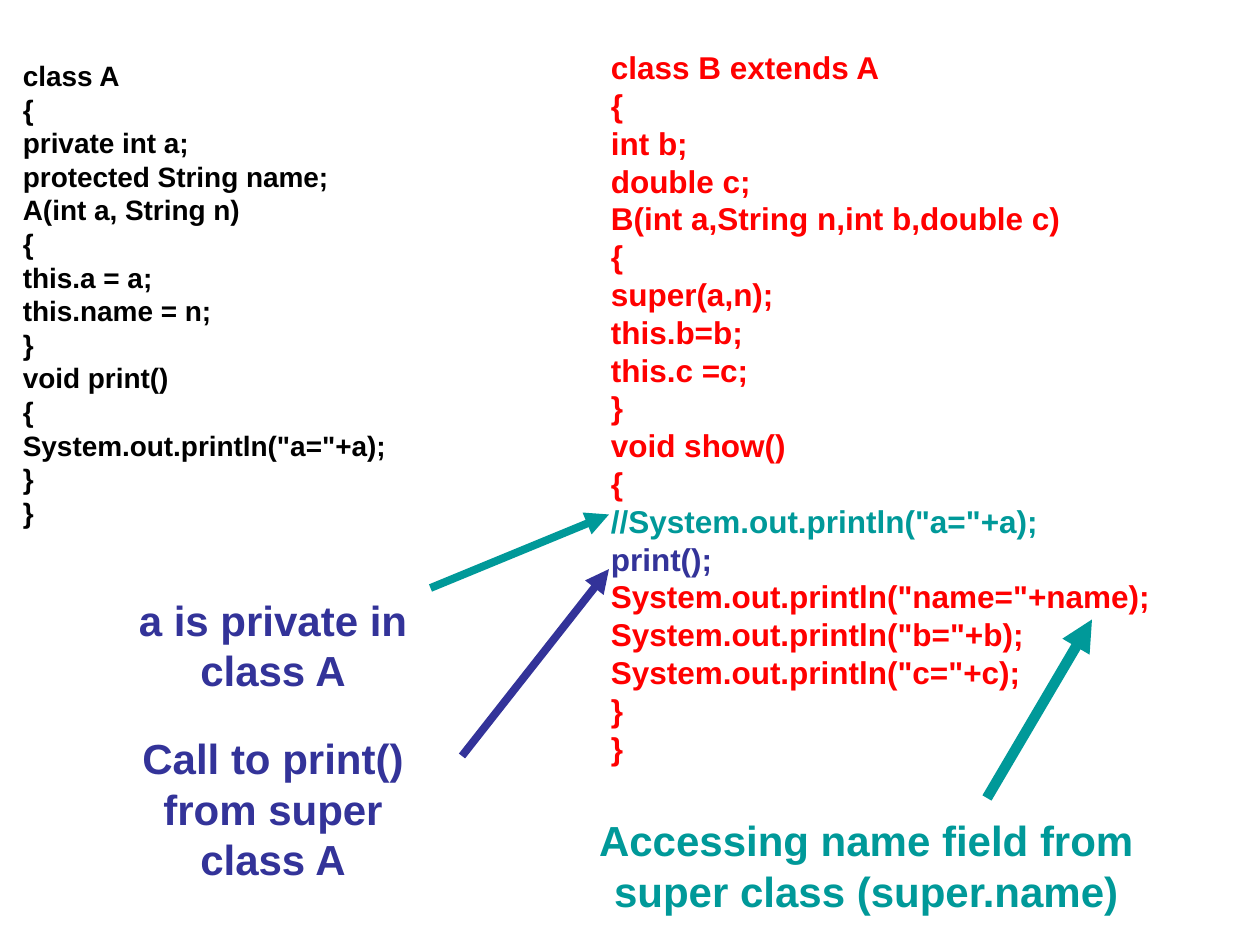
from lxml.etree import SubElement
from pptx import Presentation
from pptx.dml.color import RGBColor
from pptx.enum.shapes import MSO_CONNECTOR
from pptx.enum.text import MSO_AUTO_SIZE, PP_ALIGN
from pptx.oxml.ns import qn
from pptx.util import Inches, Pt

WIDE, HIGH = Inches(10), Inches(7.5)
COLS, ROWS = 120, 90
BLACK, RED, TEAL, BLUE = "000000", "FF0000", "009999", "333399"

BASE = """class A
{
private int a;
protected String name;
A(int a, String n)
{
this.a = a;
this.name = n;
}
void print()
{
System.out.println("a="+a);
}
}"""

CHILD = """class B extends A
{
int b;
double c;
B(int a,String n,int b,double c)
{
super(a,n);
this.b=b;
this.c =c;
}
void show()
{
//System.out.println("a="+a);
print();
System.out.println("name="+name);
System.out.println("b="+b);
System.out.println("c="+c);
}
}"""


def paint(color, tone):
    """Set a colour format to a hex string."""
    color.rgb = RGBColor.from_string(tone)


def spot(col, row):
    """Turn a grid point into slide lengths."""
    return round(WIDE * col / COLS), round(HIGH * row / ROWS)


def write(slide, box, text, size, tone, align=PP_ALIGN.LEFT, gap=0, marks=None):
    """Write bold lines in a box, with other tones for marked lines."""
    frame = slide.shapes.add_textbox(*spot(*box[:2]), *spot(*box[2:])).text_frame
    frame.word_wrap = True
    frame.auto_size = MSO_AUTO_SIZE.SHAPE_TO_FIT_TEXT
    for i, line in enumerate(text.split("\n")):
        para = frame.add_paragraph() if i else frame.paragraphs[0]
        para.alignment = align
        para.space_before = Pt(gap)
        run = para.add_run()
        run.text = line
        run.font.name = "Arial"
        run.font.size = Pt(size)
        run.font.bold = True
        paint(run.font.color, (marks or {}).get(line, tone))


def arrow(slide, start, end, tone, width):
    """Draw an arrow between two grid points."""
    link = slide.shapes.add_connector(MSO_CONNECTOR.STRAIGHT, *spot(*start), *spot(*end))
    paint(link.line.color, tone)
    link.line.width = Pt(width)
    SubElement(link.line._get_or_add_ln(), qn("a:tailEnd"), type="triangle")
    SubElement(link._element.spPr, qn("a:effectLst"))


def note(slide, box, text, tone, start, end, stroke, width=4.5):
    """Place a centred note and the arrow to its line of code."""
    arrow(slide, start, end, stroke, width)
    write(slide, box, text, 24, tone, align=PP_ALIGN.CENTER, gap=15)


def main():
    """Build the slide and save it."""
    deck = Presentation()
    deck.slide_width, deck.slide_height = WIDE, HIGH
    slide = deck.slides.add_slide(deck.slide_layouts[6])
    write(slide, (1, 5, 53, 46), BASE, 16, BLACK)
    marks = {'//System.out.println("a="+a);': TEAL, "print();": BLUE}
    write(slide, (57, 4, 60, 69.6), CHILD, 18, RED, marks=marks)
    note(slide, (9, 56, 34, 10.8), "a is private in class A", BLUE,
         (41, 56), (58, 49), TEAL)
    note(slide, (9, 69.2, 34, 15.6), "Call to print() from super class A", BLUE,
         (44, 72), (58, 54.2), BLUE)
    note(slide, (51, 77, 63, 10.8), "Accessing name field from super class (super.name)",
         TEAL, (94, 76), (104, 59), TEAL, width=6)
    deck.save("out.pptx")


if __name__ == "__main__":
    main()
